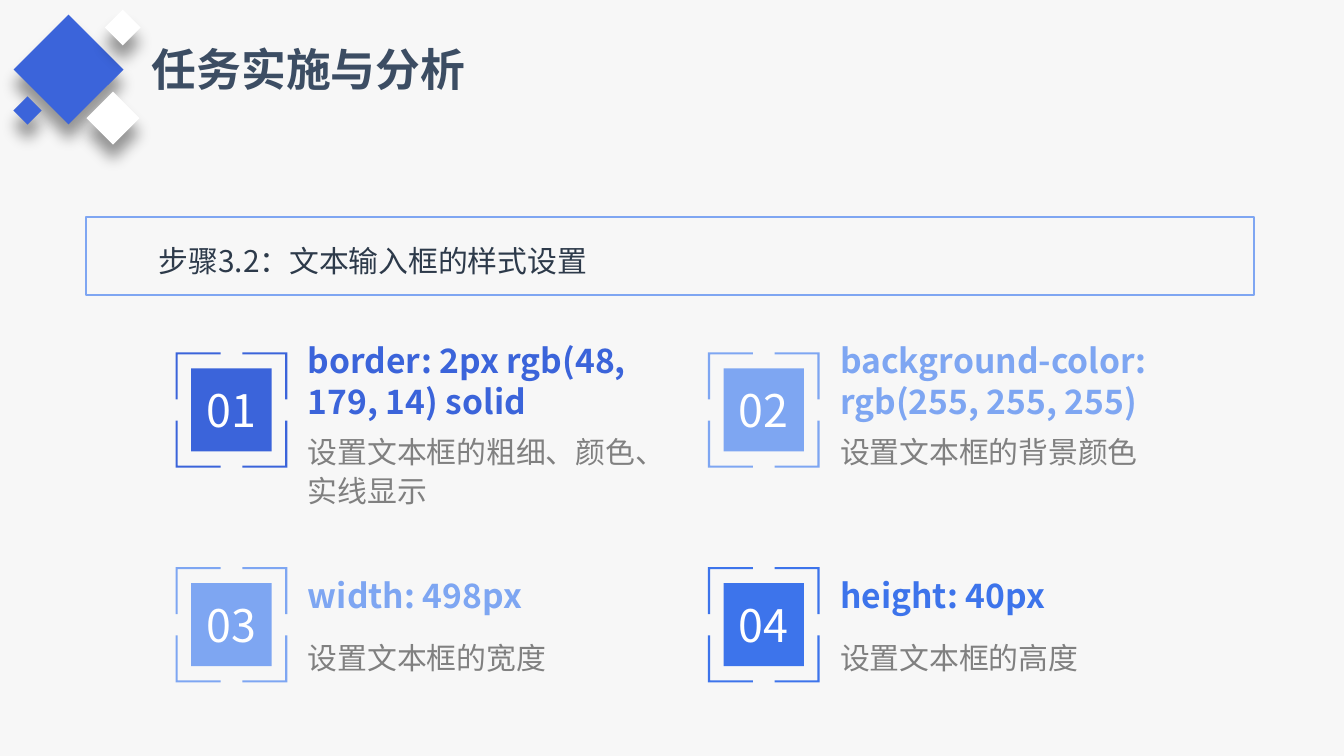
from lxml import etree
from pptx import Presentation
from pptx.dml.color import RGBColor
from pptx.enum.shapes import MSO_SHAPE
from pptx.enum.text import MSO_ANCHOR, PP_ALIGN
from pptx.oxml.ns import qn
from pptx.util import Cm, Pt

RECT = MSO_SHAPE.RECTANGLE
TOP, MIDDLE = MSO_ANCHOR.TOP, MSO_ANCHOR.MIDDLE
CENTER = PP_ALIGN.CENTER

# Content
TITLE = "任务实施与分析"
STEP = "步骤3.2：文本输入框的样式设置"
# number, property, explanation, colour, property width
CARDS = [
    ("01", "border: 2px rgb(48, 179, 14) solid",
     "设置文本框的粗细、颜色、实线显示", "3B64DA", 7.16),
    ("02", "background-color: rgb(255, 255, 255)",
     "设置文本框的背景颜色", "7EA6F2", 6.88),
    ("03", "width: 498px", "设置文本框的宽度", "7EA6F2", 6.53),
    ("04", "height: 40px", "设置文本框的高度", "3D74EB", 6.53),
]
# left, top, side, theme colour
DIAMONDS = [
    (0.56, 0.58, 1.47, "accent"),
    (1.78, 1.88, 0.71, "white"),
    (2.08, 0.28, 0.48, "white"),
    (0.33, 1.9, 0.38, "accent"),
]

THEME = {
    "font": "Noto Sans CJK SC",
    "bg": "F7F7F7", "accent": "3B64DA", "white": "FFFFFF", "frame": "7FA6F2",
    "title": "3C4D63", "step": "2D3A4A", "muted": "808080",
    "title_size": 24, "number_size": 24, "property_size": 18, "body_size": 16,
}

# Card grid, in centimetres
LEFT, UPPER = 3.32, 6.66
COL_STEP, ROW_STEP = 10.06, 4.06
FRAME_W, FRAME_H = 2.11, 2.18
ARM_X, ARM_Y, STROKE = 0.85, 0.89, 0.04
TILE_W, TILE_H = 1.52, 1.57
TEXT_DX = 2.5
BODY_DY = (1.47, 1.3)


def rgb(value):
    return RGBColor.from_string(value)


def write(s, text, size, color, bold=False, anchor=TOP, margins=None,
          align=None, spacing=None):
    tf = s.text_frame
    tf.word_wrap = True
    tf.vertical_anchor = anchor
    if margins:
        (tf.margin_left, tf.margin_top,
         tf.margin_right, tf.margin_bottom) = [Cm(m) for m in margins]
    tf.text = text
    p = tf.paragraphs[0]
    p.alignment = align
    p.line_spacing = spacing
    r = p.runs[0]
    r.font.size, r.font.bold = Pt(size), bold
    r.font.color.rgb = rgb(color)
    r.font.name = THEME["font"]
    ea = etree.SubElement(r.font._element, qn("a:ea"))
    ea.set("typeface", THEME["font"])
    return p


def paint(s, color):
    s.shadow.inherit = False
    s.fill.solid()
    s.fill.fore_color.rgb = rgb(color)
    s.line.fill.background()


def add_rect(sp, x, y, w, h, color):
    s = sp.add_shape(RECT, Cm(x), Cm(y), Cm(w), Cm(h))
    paint(s, color)
    return s


def add_label(sp, x, y, w, h, text, size, color, **style):
    s = sp.add_textbox(Cm(x), Cm(y), Cm(w), Cm(h))
    return write(s, text, size, color, margins=(0, 0, 0, 0), **style)


def drop_shadow(s):
    effects = s._element.spPr.find(qn("a:effectLst"))
    shadow = etree.SubElement(
        effects, qn("a:outerShdw"), blurRad=str(Pt(8)), dist=str(Pt(8)),
        dir="5400000", algn="t", rotWithShape="0")
    color = etree.SubElement(shadow, qn("a:srgbClr"), val="000000")
    etree.SubElement(color, qn("a:alpha"), val="40000")


def add_brackets(sp, x, y, color):
    """Four corner brackets, each mirrored from the upper left one."""
    corner = [(0, 0), (ARM_X, 0), (ARM_X, STROKE), (STROKE, STROKE),
              (STROKE, ARM_Y), (0, ARM_Y)]
    fb = None
    for right in (False, True):
        for low in (False, True):
            points = [(Cm(x + (FRAME_W - dx if right else dx)),
                       Cm(y + (FRAME_H - dy if low else dy)))
                      for dx, dy in corner]
            if fb is None:
                fb = sp.build_freeform(*points[0])
            else:
                fb.move_to(*points[0])
            fb.add_line_segments(points[1:], close=True)
    paint(fb.convert_to_shape(), color)


def add_card(sp, index, number, prop, body, color, prop_w):
    row, col = divmod(index, 2)
    x, y = LEFT + col * COL_STEP, UPPER + row * ROW_STEP
    add_brackets(sp, x, y, color)
    tile = add_rect(sp, x + (FRAME_W - TILE_W) / 2, y + (FRAME_H - TILE_H) / 2,
                    TILE_W, TILE_H, color)
    write(tile, number, THEME["number_size"], THEME["white"],
          anchor=MIDDLE, align=CENTER)
    add_label(sp, x + TEXT_DX, y, prop_w, 1.07, prop,
              THEME["property_size"], color, bold=True, anchor=MIDDLE)
    add_label(sp, x + TEXT_DX, y + BODY_DY[row], 6.53, 2.54, body,
              THEME["body_size"], THEME["muted"], spacing=1.1)


def main():
    prs = Presentation()
    prs.slide_width, prs.slide_height = Cm(25.4), Cm(14.29)
    slide = prs.slides.add_slide(prs.slide_layouts[6])
    slide.background.fill.solid()
    slide.background.fill.fore_color.rgb = rgb(THEME["bg"])
    sp = slide.shapes

    # Heading
    s = sp.add_textbox(Cm(2.62), Cm(0.66), Cm(6.45), Cm(1.27))
    write(s, TITLE, THEME["title_size"], THEME["title"], bold=True)
    s.text_frame.word_wrap = False

    # Diamond ornament
    for x, y, side, color in DIAMONDS:
        s = add_rect(sp, x, y, side, side, THEME[color])
        s.rotation = 45
        drop_shadow(s)

    # Step bar
    s = add_rect(sp, 1.63, 4.11, 22.07, 1.47, THEME["bg"])
    s.fill.background()
    s.line.color.rgb = rgb(THEME["frame"])
    s.line.width = Pt(1)
    p = write(s, STEP, THEME["body_size"], THEME["step"], anchor=MIDDLE,
              margins=(0.25, 0.13, 0.25, 0.3), align=PP_ALIGN.LEFT, spacing=1.5)
    p._p.get_or_add_pPr().set("indent", str(Cm(1.12)))

    # Property cards
    for index, card in enumerate(CARDS):
        add_card(sp, index, *card)

    prs.save("out.pptx")


if __name__ == "__main__":
    main()
